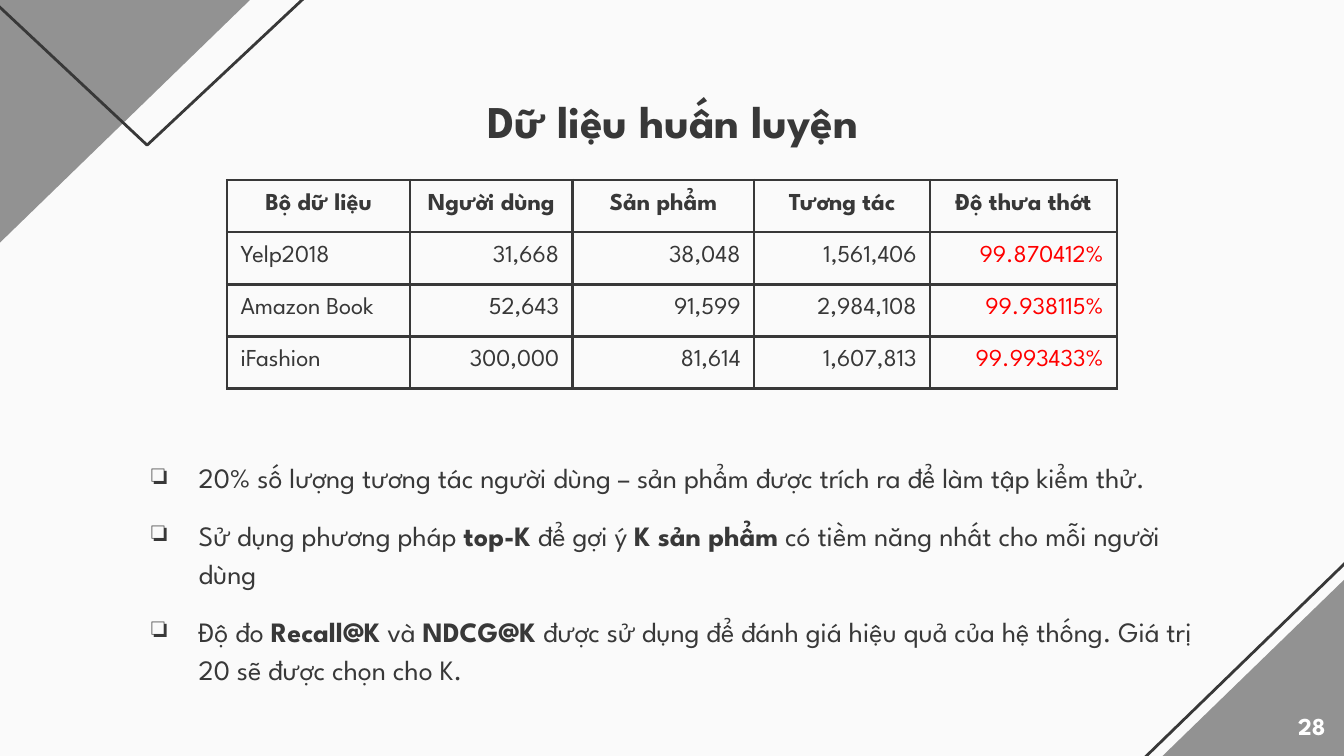
from lxml.etree import SubElement
from pptx import Presentation
from pptx.dml.color import RGBColor
from pptx.enum.shapes import MSO_SHAPE as Shape
from pptx.enum.text import MSO_ANCHOR as Anchor, PP_ALIGN as Align
from pptx.oxml.ns import qn
from pptx.util import Inches, Pt

WIDE, HIGH = Inches(10), Inches(5.625)
FACE = "League Spartan"
INK, GREY, RED, WHITE, PAPER = "383838", "929292", "FF0000", "FFFFFF", "FAFAFA"

HEAD = ["Bộ dữ liệu", "Người dùng", "Sản phẩm", "Tương tác", "Độ thưa thớt"]
ROWS = [
    ["Yelp2018", "31,668", "38,048", "1,561,406", "99.870412%"],
    ["Amazon Book", "52,643", "91,599", "2,984,108", "99.938115%"],
    ["iFashion", "300,000", "81,614", "1,607,813", "99.993433%"],
]
COLS = [13.6, 12.1, 13.5, 13.1, 13.9]  # percent of the slide's width
ROW = 6.9  # percent of the slide's height

# Bold words stand between double stars
NOTES = [
    "20% số lượng tương tác người dùng – sản phẩm được trích ra để làm tập kiểm thử.",
    "Sử dụng phương pháp **top-K** để gợi ý **K sản phẩm** có tiềm năng nhất"
    " cho mỗi người dùng",
    "Độ đo **Recall@K** và **NDCG@K **được sử dụng để đánh giá hiệu quả của hệ thống."
    " Giá trị 20 sẽ được chọn cho K.",
]


def color(code):
    return RGBColor.from_string(code)


def place(x, y, w, h):
    """Turn percent of the slide's size into lengths."""
    return [int(side * part / 100)
            for side, part in zip((WIDE, HIGH, WIDE, HIGH), (x, y, w, h))]


def set_all(item, **values):
    for name, value in values.items():
        setattr(item, name, value)


def write(para, text, size, tint=INK, bold=False):
    for i, part in enumerate(text.split("**")):
        if part:
            run = para.add_run()
            run.text = part
            set_all(run.font, name=FACE, size=Pt(size), bold=bold or i % 2 == 1)
            run.font.color.rgb = color(tint)


def set_frame(frame, anchor=Anchor.TOP):
    pad = Inches(0.1)
    set_all(frame, word_wrap=True, vertical_anchor=anchor, margin_left=pad,
            margin_right=pad, margin_top=pad, margin_bottom=pad)
    return frame


def add_wedge(slide, kind, box, fill=None, turn=0):
    """Add a mirrored corner triangle, either filled or outlined."""
    wedge = slide.shapes.add_shape(kind, *place(*box))
    wedge.shadow.inherit = False
    wedge.rotation = turn
    wedge._element.spPr.find(qn("a:xfrm")).set("flipH", "1")
    if fill:
        wedge.fill.solid()
        wedge.fill.fore_color.rgb = color(fill)
        wedge.line.fill.background()
    else:
        wedge.fill.background()
        wedge.line.color.rgb = color(INK)
        wedge.line.width = Pt(1.5)


def set_title(slide, text, box):
    title = slide.shapes.title
    set_all(title, **dict(zip(("left", "top", "width", "height"), place(*box))))
    para = set_frame(title.text_frame).paragraphs[0]
    para.alignment = Align.CENTER
    write(para, text, 24.3, bold=True)


def add_text(slide, box, anchor=Anchor.TOP):
    return set_frame(slide.shapes.add_textbox(*place(*box)).text_frame, anchor)


def add_edges(cell):
    props = cell._tc.get_or_add_tcPr()
    for i, side in enumerate(("lnL", "lnR", "lnT", "lnB")):
        line = props.makeelement(qn("a:" + side), {"w": str(Pt(1.5))})
        fill = SubElement(line, qn("a:solidFill"))
        SubElement(fill, qn("a:srgbClr"), val=INK)
        props.insert(i, line)


def add_grid(slide, x, y):
    data = [HEAD] + ROWS
    box = place(x, y, sum(COLS), ROW * len(data))
    table = slide.shapes.add_table(len(data), len(COLS), *box).table
    set_all(table, first_row=False, horz_banding=False)
    for col, wide in zip(table.columns, COLS):
        col.width = int(WIDE * wide / 100)
    for r, texts in enumerate(data):
        table.rows[r].height = int(HIGH * ROW / 100)
        for c, text in enumerate(texts):
            cell = table.cell(r, c)
            set_frame(cell.text_frame)
            pad = Inches(0.1)
            set_all(cell, margin_left=pad, margin_right=pad, margin_top=pad,
                    margin_bottom=pad, vertical_anchor=Anchor.TOP)
            cell.fill.background()
            add_edges(cell)
            para = cell.text_frame.paragraphs[0]
            para.alignment = (Align.CENTER if r == 0 else
                              Align.RIGHT if c else Align.LEFT)
            tint = RED if r and c == len(COLS) - 1 else INK
            write(para, text, 13, tint, bold=r == 0)


def add_bullet(para):
    props = para._p.get_or_add_pPr()
    props.set("marL", str(Inches(0.5)))
    props.set("indent", str(Inches(-0.35)))
    tint = SubElement(props, qn("a:buClr"))
    SubElement(tint, qn("a:srgbClr"), val=INK)
    SubElement(props, qn("a:buChar"), char="❏")


def add_list(slide, notes, box):
    frame = add_text(slide, box, Anchor.MIDDLE)
    for i, note in enumerate(notes):
        para = frame.add_paragraph() if i else frame.paragraphs[0]
        add_bullet(para)
        para.line_spacing = 1.15
        para.space_before = Pt(10 if i else 0)
        write(para, note, 15)


def main():
    deck = Presentation()
    set_all(deck, slide_width=WIDE, slide_height=HIGH)
    slide = deck.slides.add_slide(deck.slide_layouts[5])
    slide.background.fill.solid()
    slide.background.fill.fore_color.rgb = color(PAPER)

    # Corner triangles
    add_wedge(slide, Shape.RIGHT_TRIANGLE, (76.8, 50.49, 37.2, 64.18))
    add_wedge(slide, Shape.RIGHT_TRIANGLE, (78, 50.49, 37.2, 64.18), GREY)
    add_wedge(slide, Shape.RIGHT_TRIANGLE, (-8.3, -17.78, 37.2, 64.18), GREY, 180)
    add_wedge(slide, Shape.ISOSCELES_TRIANGLE, (-18.4, -29.69, 58.7, 48.89), turn=180)

    # Title, data and notes
    set_title(slide, "Dữ liệu huấn luyện", (18.5, 10.49, 63.1, 10.31))
    add_grid(slide, 16.9, 23.82)
    add_list(slide, NOTES, (8.8, 58.67, 82.4, 33.78))

    # Page number
    para = add_text(slide, (93.6, 92.27, 6, 7.64)).paragraphs[0]
    para.alignment = Align.RIGHT
    write(para, "28", 13, WHITE, bold=True)
    deck.save("out.pptx")


if __name__ == "__main__":
    main()
